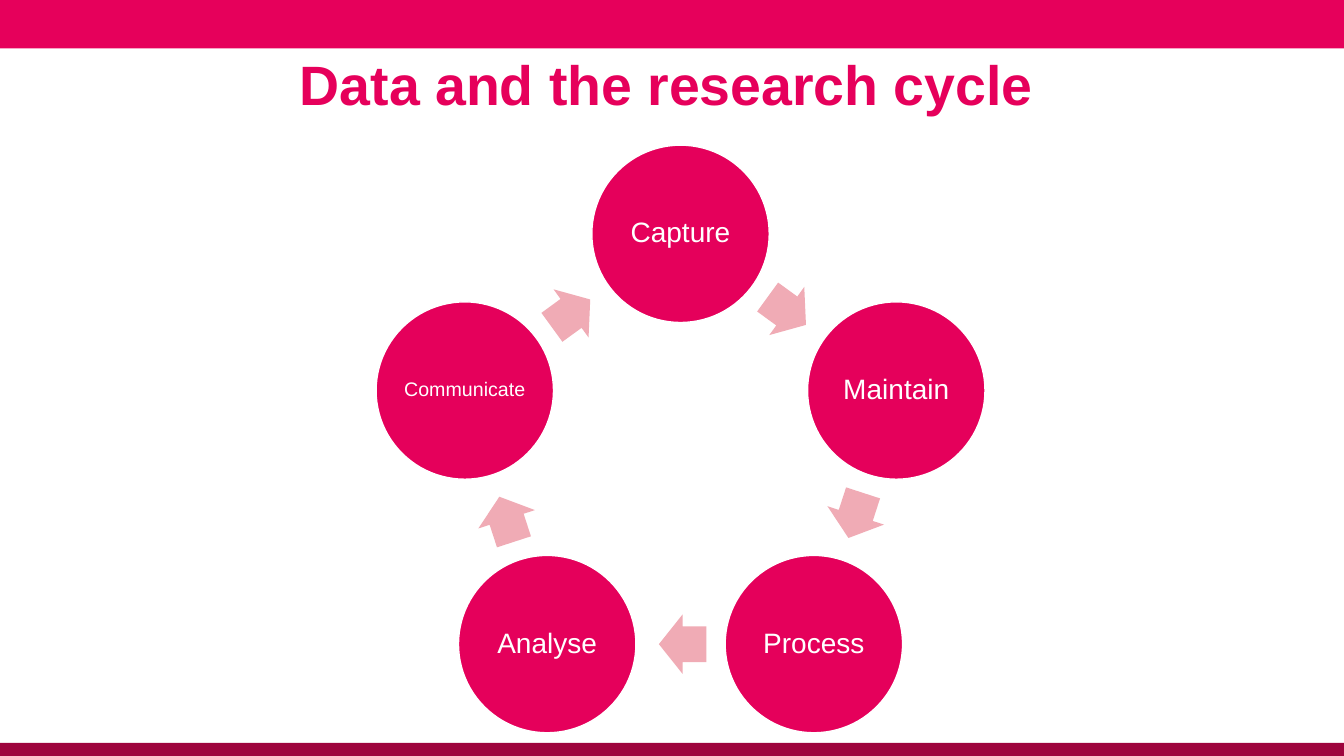
from math import cos, radians, sin

from pptx import Presentation
from pptx.dml.color import RGBColor
from pptx.enum.shapes import MSO_SHAPE
from pptx.enum.text import MSO_ANCHOR, PP_ALIGN
from pptx.util import Inches, Pt

RECTANGLE, OVAL, ARROW = MSO_SHAPE.RECTANGLE, MSO_SHAPE.OVAL, MSO_SHAPE.RIGHT_ARROW
MIDDLE, CENTER = MSO_ANCHOR.MIDDLE, PP_ALIGN.CENTER

THEME = {
    "font": "Arial",
    "title": RGBColor(0xE6, 0x00, 0x5B),
    "footer": RGBColor(0x9E, 0x04, 0x3D),
    "stage": RGBColor(0xE5, 0x00, 0x5B),
    "arrow": RGBColor(0xF0, 0xAB, 0xB5),
    "white": RGBColor(0xFF, 0xFF, 0xFF),
    "title_size": 39.6,
    "stage_size": 20,
    "long_stage_size": 14,
}

# Lengths in inches
WIDTH, HEIGHT = 13.33, 7.5
HEADER_HEIGHT, FOOTER_HEIGHT = 0.48, 0.13
CYCLE_X, CYCLE_Y, CYCLE_RADIUS = 6.75, 4.57, 2.25
STAGE_DIAMETER = 1.76
ARROW_LENGTH, ARROW_WIDTH = 0.47, 0.59
ARROW_SETBACK = 0.02  # arrows sit slightly nearer the stage they leave

prs = Presentation()
prs.slide_width, prs.slide_height = Inches(WIDTH), Inches(HEIGHT)
slide = prs.slides.add_slide(prs.slide_layouts[6])


def add_filled(kind, center_x, center_y, width, height, color):
    shape = slide.shapes.add_shape(
        kind, Inches(center_x - width / 2), Inches(center_y - height / 2),
        Inches(width), Inches(height))
    shape.shadow.inherit = False
    shape.fill.solid()
    shape.fill.fore_color.rgb = color
    shape.line.fill.background()
    return shape


def write(shape, text, size, color, insets, bold=False):
    frame = shape.text_frame
    frame.word_wrap = False
    frame.vertical_anchor = MIDDLE
    (frame.margin_left, frame.margin_top,
     frame.margin_right, frame.margin_bottom) = map(Inches, insets)
    paragraph = frame.paragraphs[0]
    paragraph.text = text
    paragraph.alignment = CENTER
    paragraph.line_spacing = 0.9
    paragraph.font.name = THEME["font"]
    paragraph.font.size = Pt(size)
    paragraph.font.bold = bold
    paragraph.font.color.rgb = color


# Header and footer bands
add_filled(RECTANGLE, WIDTH / 2, HEADER_HEIGHT / 2, WIDTH, HEADER_HEIGHT, THEME["title"])
add_filled(RECTANGLE, WIDTH / 2, HEIGHT - FOOTER_HEIGHT / 2, WIDTH, FOOTER_HEIGHT,
           THEME["footer"])

# Title
title = slide.shapes.add_textbox(Inches(0.48), Inches(0.49), Inches(12.36), Inches(0.75))
write(title, "Data and the research cycle", THEME["title_size"], THEME["title"],
      (0, 0.05, 0.1, 0.05), bold=True)
title.text_frame.word_wrap = True

# Research cycle: stages clockwise from the top, each followed by an arrow
stages = [
    ("Capture", THEME["stage_size"]),
    ("Maintain", THEME["stage_size"]),
    ("Process", THEME["stage_size"]),
    ("Analyse", THEME["stage_size"]),
    ("Communicate", THEME["long_stage_size"]),
]
step = 360 / len(stages)
arrow_radius = CYCLE_RADIUS * cos(radians(step / 2))

for index, (name, size) in enumerate(stages):
    angle = radians(index * step - 90)
    stage = add_filled(OVAL, CYCLE_X + CYCLE_RADIUS * cos(angle),
                       CYCLE_Y + CYCLE_RADIUS * sin(angle),
                       STAGE_DIAMETER, STAGE_DIAMETER, THEME["stage"])
    stage.line.color.rgb = THEME["white"]
    stage.line.width = Pt(1)
    write(stage, name, size, THEME["white"], (0.03,) * 4)

    heading = (index + 0.5) * step
    between, forward = radians(heading - 90), radians(heading)
    arrow = add_filled(
        ARROW,
        CYCLE_X + arrow_radius * cos(between) - ARROW_SETBACK * cos(forward),
        CYCLE_Y + arrow_radius * sin(between) - ARROW_SETBACK * sin(forward),
        ARROW_LENGTH, ARROW_WIDTH, THEME["arrow"])
    arrow.rotation = heading
    arrow.adjustments[0], arrow.adjustments[1] = 0.6, 0.5

prs.save("out.pptx")
